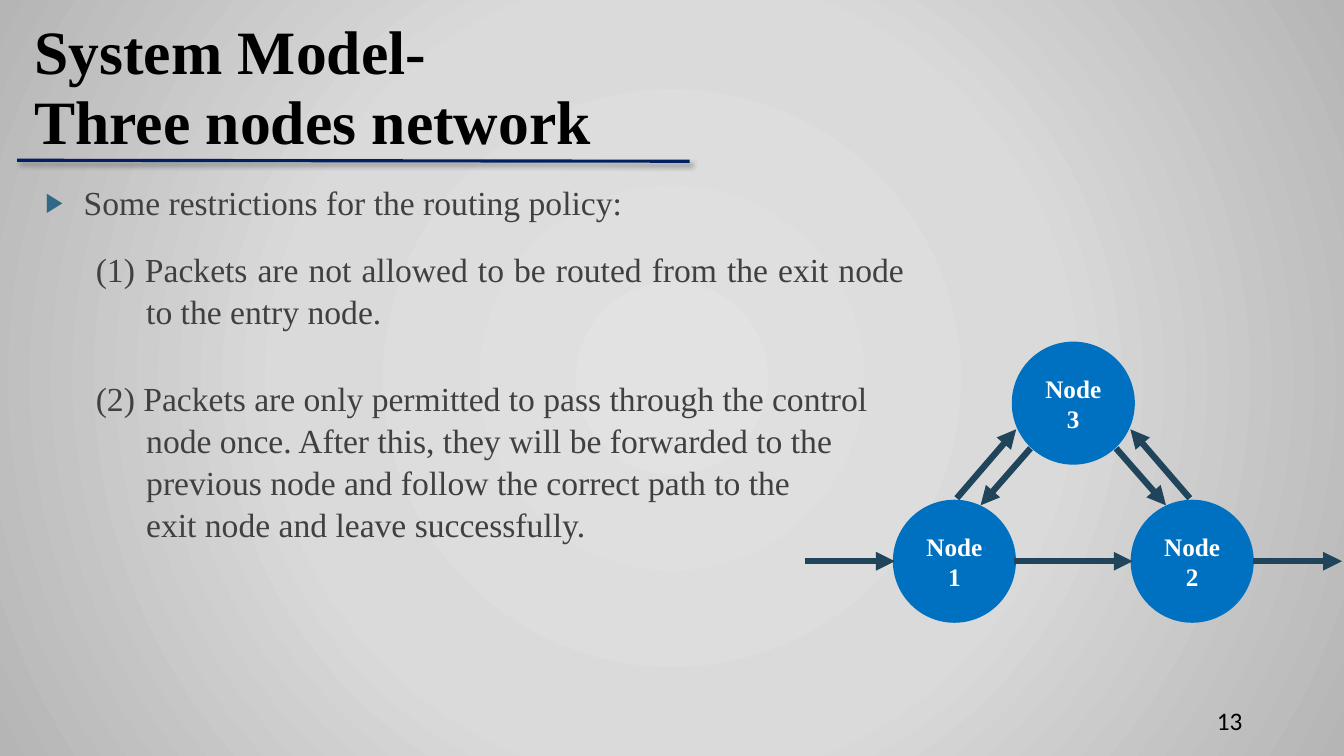
from collections import namedtuple

from pptx import Presentation
from pptx.dml.color import RGBColor
from pptx.enum.shapes import MSO_CONNECTOR, MSO_SHAPE
from pptx.enum.text import MSO_ANCHOR, MSO_AUTO_SIZE, PP_ALIGN
from pptx.oxml import parse_xml
from pptx.oxml.ns import nsdecls, qn
from pptx.util import Inches, Pt

STRAIGHT = MSO_CONNECTOR.STRAIGHT
OVAL = MSO_SHAPE.OVAL
TOP, MIDDLE = MSO_ANCHOR.TOP, MSO_ANCHOR.MIDDLE
LEFT, CENTER, RIGHT, JUSTIFY = PP_ALIGN.LEFT, PP_ALIGN.CENTER, PP_ALIGN.RIGHT, PP_ALIGN.JUSTIFY
NO_AUTOFIT = MSO_AUTO_SIZE.NONE

BLACK = RGBColor(0x00, 0x00, 0x00)
WHITE = RGBColor(0xFF, 0xFF, 0xFF)
GREY = RGBColor(0x40, 0x40, 0x40)
NAVY = RGBColor(0x00, 0x20, 0x60)
NODE_BLUE = RGBColor(0x00, 0x70, 0xC0)
ARROW_TEAL = RGBColor(0x20, 0x45, 0x5A)
BULLET_TEAL = RGBColor(0x31, 0x68, 0x86)
GLOW = ((0, RGBColor(0xE2, 0xE2, 0xE2)), (50, RGBColor(0xDA, 0xDA, 0xDA)),
        (100, RGBColor(0xB5, 0xB5, 0xB5)))
SERIF, SANS = "Times New Roman", "Calibri"

Box = namedtuple("Box", "left top width height")

RESTRICTIONS = (
    ("(1) Packets are not allowed to be routed from the exit node \v"
     "to the entry node.", JUSTIFY, 18),
    ("(2) Packets are only permitted to pass through the control\v"
     "node once. After this, they will be forwarded to the\v"
     "previous node and follow the correct path to the\v"
     "exit node and leave successfully.", LEFT, 32),
)
NODES = (("Node\v3", 0, 0), ("Node\v1", -1, 1.33), ("Node\v2", 1, 1.33))
SIDE_LINKS = (((0.98, 1.3), (0.48, 0.72)), ((0.36, 0.88), (0.78, 1.36)))
LEVEL_LINKS = ((-2.26, -1.5), (-0.5, 0.5), (1.51, 2.26))
LINK_ROW = 1.83


def place(shape, box):
    shape.left, shape.top, shape.width, shape.height = (Inches(n) for n in box)


def style(paragraph, font_name, size, color, align, bold=False):
    paragraph.alignment = align
    for run in paragraph.runs:
        run.font.name, run.font.size, run.font.bold = font_name, Pt(size), bold
        run.font.color.rgb = color


def draw_line(slide, start, end, color, width, effects=""):
    line = slide.shapes.add_connector(STRAIGHT, *(Inches(n) for n in (*start, *end)))
    line.line.color.rgb = color
    line.line.width = Pt(width)
    properties = line._element.spPr
    properties.append(parse_xml(f'<a:effectLst {nsdecls("a")}>{effects}</a:effectLst>'))
    return properties.find(qn("a:ln"))


def draw_arrow(slide, start, end):
    outline = draw_line(slide, start, end, ARROW_TEAL, 4.5)
    outline.append(parse_xml(f'<a:tailEnd {nsdecls("a")} type="triangle"/>'))


def paint_background(slide):
    stops = "".join(f'<a:gs pos="{share * 1000}"><a:srgbClr val="{color}"/></a:gs>'
                    for share, color in GLOW)
    slide.element.cSld.insert(0, parse_xml(
        f'<p:bg {nsdecls("p", "a")}><p:bgPr><a:gradFill rotWithShape="1">'
        f'<a:gsLst>{stops}</a:gsLst><a:path path="circle">'
        '<a:fillToRect l="50000" t="50000" r="50000" b="50000"/></a:path>'
        '</a:gradFill><a:effectLst/></p:bgPr></p:bg>'))


def add_heading(slide, box):
    heading = slide.shapes.title
    place(heading, box)
    frame = heading.text_frame
    frame.text = "System Model-\vThree nodes network"
    frame.auto_size, frame.vertical_anchor = NO_AUTOFIT, MIDDLE
    frame.paragraphs[0].line_spacing = 0.95
    style(frame.paragraphs[0], SERIF, 44, BLACK, LEFT, True)
    rule = box.top + box.height
    shadow = ('<a:outerShdw blurRad="50800" dist="38100" dir="2700000" algn="tl">'
              '<a:srgbClr val="000000"><a:alpha val="40000"/></a:srgbClr></a:outerShdw>')
    draw_line(slide, (box.left - 0.07, rule - 0.01), (box.left + 6.6, rule),
              NAVY, 2.25, shadow)


def set_bullet(paragraph, margin, indent, *marks):
    properties = paragraph._p.get_or_add_pPr()
    properties.set("marL", str(Inches(margin)))
    properties.set("indent", str(Inches(indent)))
    for mark in marks:
        properties.append(parse_xml(mark.replace("/>", f' {nsdecls("a")}/>', 1)
                                    if mark.endswith("/>") and mark.count("<") == 1
                                    else mark.replace(">", f' {nsdecls("a")}>', 1)))


def add_restrictions(slide, box):
    policy = slide.placeholders[1]
    place(policy, box)
    frame = policy.text_frame
    frame.auto_size, frame.vertical_anchor = NO_AUTOFIT, TOP
    frame.text = "Some restrictions for the routing policy:"
    lead = frame.paragraphs[0]
    set_bullet(lead, 0.38, -0.38,
               f'<a:buClr><a:srgbClr val="{BULLET_TEAL}"/></a:buClr>',
               '<a:buSzPct val="80000"/>', '<a:buChar char="▶"/>')
    lead.space_before = Pt(0)
    style(lead, SERIF, 24, GREY, JUSTIFY)
    for wording, align, gap in RESTRICTIONS:
        rule = frame.add_paragraph()
        rule.text = wording
        rule.level = 1
        set_bullet(rule, 1, -0.5, "<a:buNone/>")
        rule.space_before = Pt(gap)
        style(rule, SERIF, 24, GREY, align)
    for paragraph in frame.paragraphs:
        paragraph.line_spacing = 1.045


def add_network(slide, box):
    unit = box.width / 4.52
    middle = box.left + box.width / 2

    def at(column, row):
        return middle + column * unit, box.top + row * unit

    for label, column, row in NODES:
        node = slide.shapes.add_shape(OVAL, 0, 0, 0, 0)
        place(node, Box(*at(column - 0.5, row), unit, unit))
        node.shadow.inherit = False
        node.fill.solid()
        node.fill.fore_color.rgb = NODE_BLUE
        node.line.color.rgb = NODE_BLUE
        node.line.width = Pt(3)
        frame = node.text_frame
        frame.text = label
        frame.vertical_anchor = MIDDLE
        style(frame.paragraphs[0], SERIF, 18, WHITE, CENTER, True)
    for side in (-1, 1):
        for (start, start_row), (end, end_row) in SIDE_LINKS:
            draw_arrow(slide, at(side * start, start_row), at(side * end, end_row))
    for start, end in LEVEL_LINKS:
        draw_arrow(slide, at(start, LINK_ROW), at(end, LINK_ROW))


def add_page_number(slide, box):
    number = slide.shapes.add_textbox(0, 0, 0, 0)
    place(number, box)
    frame = number.text_frame
    frame.word_wrap = True
    frame.text = "13"
    frame.vertical_anchor = MIDDLE
    style(frame.paragraphs[0], SANS, 18, BLACK, RIGHT)


def main():
    deck = Presentation()
    deck.slide_width, deck.slide_height = Inches(13.33), Inches(7.5)
    slide = deck.slides.add_slide(deck.slide_layouts[1])
    paint_background(slide)
    add_heading(slide, Box(0.24, 0.15, 7.14, 1.45))
    add_restrictions(slide, Box(0.35, 1.74, 8.82, 3.64))
    add_network(slide, Box(7.98, 3.41, 5.33, 2.75))
    add_page_number(slide, Box(9.42, 6.95, 3, 0.4))
    deck.save("out.pptx")


if __name__ == "__main__":
    main()
